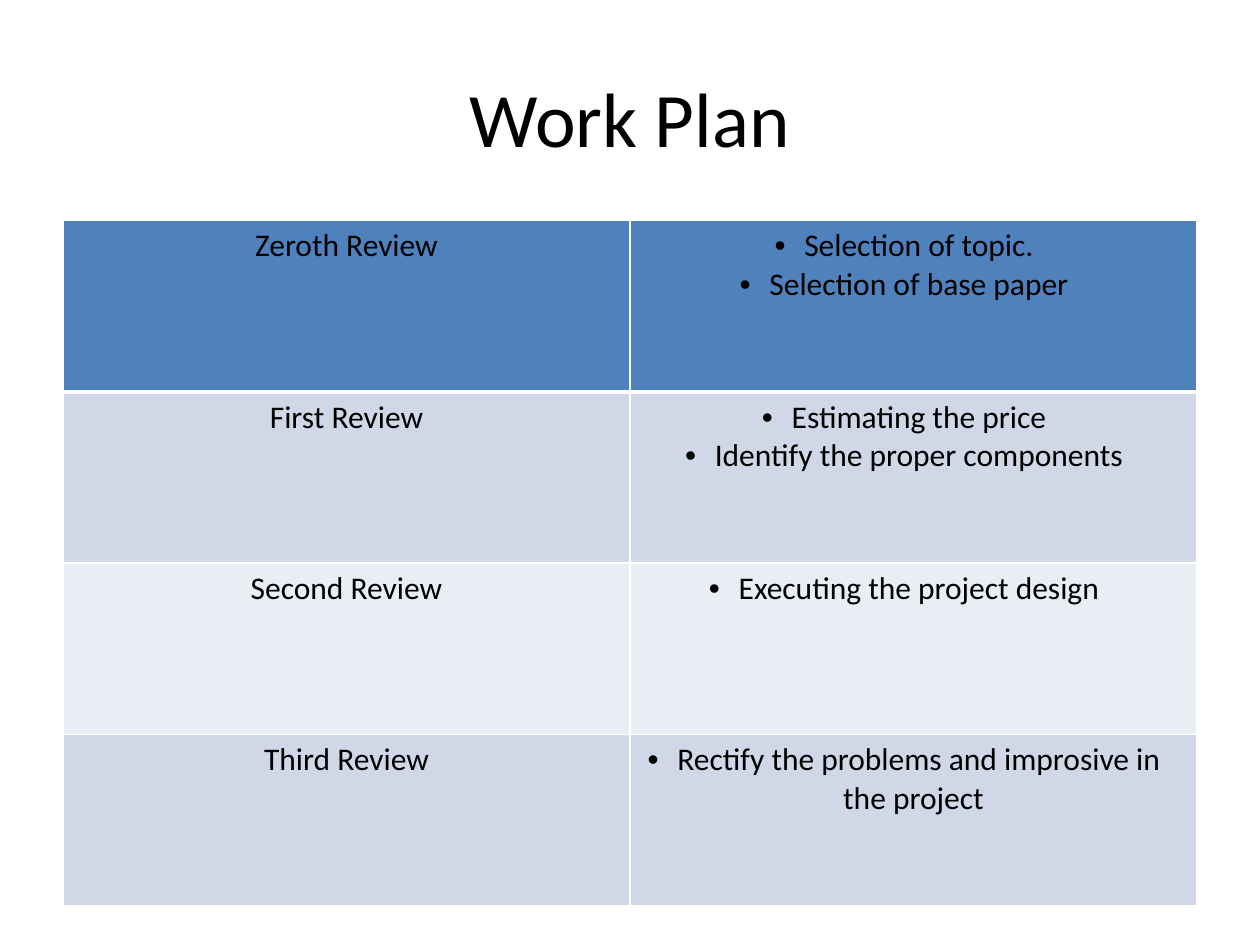
from pptx import Presentation
from pptx.dml.color import RGBColor
from pptx.enum import text as t
from pptx.oxml import xmlchemy as x
from pptx.util import Pt

PLAN = [
    ("Zeroth Review", ["Selection of topic.", "Selection of base paper"]),
    ("First Review", ["Estimating the price", "Identify the proper components"]),
    ("Second Review", ["Executing the project design"]),
    ("Third Review", ["Rectify the problems and improsive in the project"]),
]
HEAD = "4F81BD"
BANDS = ["E9EDF4", "D0D8E8"]
EDGES = {0: {"B": 3}, 1: {"T": 3}}


def color(code):
    return RGBColor.from_string(code)


def apply(item, form):
    for name, value in form.items():
        setattr(item, name, value)


def child(node, tag, **attrs):
    part = x.OxmlElement(tag)
    for name, value in attrs.items():
        part.set(name, str(value))
    node.append(part)
    return part


class Deck:
    face = "Calibri"
    ink = "000000"
    rule = "FFFFFF"

    def __init__(self, wide, high):
        self.file = Presentation()
        apply(self.file, {"slide_width": Pt(wide), "slide_height": Pt(high)})
        self.slide = self.file.slides.add_slide(self.file.slide_layouts[5])

    def label(self, frame, lines, size, dots=False):
        for i, line in enumerate(lines):
            para = frame.add_paragraph() if i else frame.paragraphs[0]
            para.alignment = t.PP_ALIGN.CENTER
            run = para.add_run()
            run.text = line
            apply(run.font, {"name": self.face, "size": Pt(size), "bold": False})
            run.font.color.rgb = color(self.ink)
            if dots:
                props = para._p.get_or_add_pPr()
                child(props, "a:buFont", typeface="Arial")
                child(props, "a:buChar", char="•")

    def title(self, words, left, top, wide, high):
        box = self.slide.shapes.title
        apply(box, {"left": Pt(left), "top": Pt(top),
                    "width": Pt(wide), "height": Pt(high)})
        box.text_frame.vertical_anchor = t.MSO_ANCHOR.MIDDLE
        self.label(box.text_frame, [words], 44)

    def border(self, cell, **widths):
        props = cell._tc.get_or_add_tcPr()
        for side in "LRTB":
            line = child(props, "a:ln" + side, w=Pt(widths.get(side, 1)))
            fill = child(line, "a:solidFill")
            child(fill, "a:srgbClr", val=self.rule)

    def table(self, rows, left, top, wide, high):
        grid = self.slide.shapes.add_table(
            len(rows), 2, Pt(left), Pt(top), Pt(wide), Pt(high)).table
        for r, (name, tasks) in enumerate(rows):
            for c, lines in enumerate([[name], tasks]):
                cell = grid.cell(r, c)
                self.border(cell, **EDGES.get(r, {}))
                cell.fill.solid()
                cell.fill.fore_color.rgb = color(BANDS[r % 2] if r else HEAD)
                self.label(cell.text_frame, lines, 18, dots=c == 1)


def main():
    deck = Deck(720, 540)
    deck.title("Work Plan", 36, 21.6, 648, 90)
    deck.table(PLAN, 36, 126, 648, 391.68)
    deck.file.save("out.pptx")


if __name__ == "__main__":
    main()
